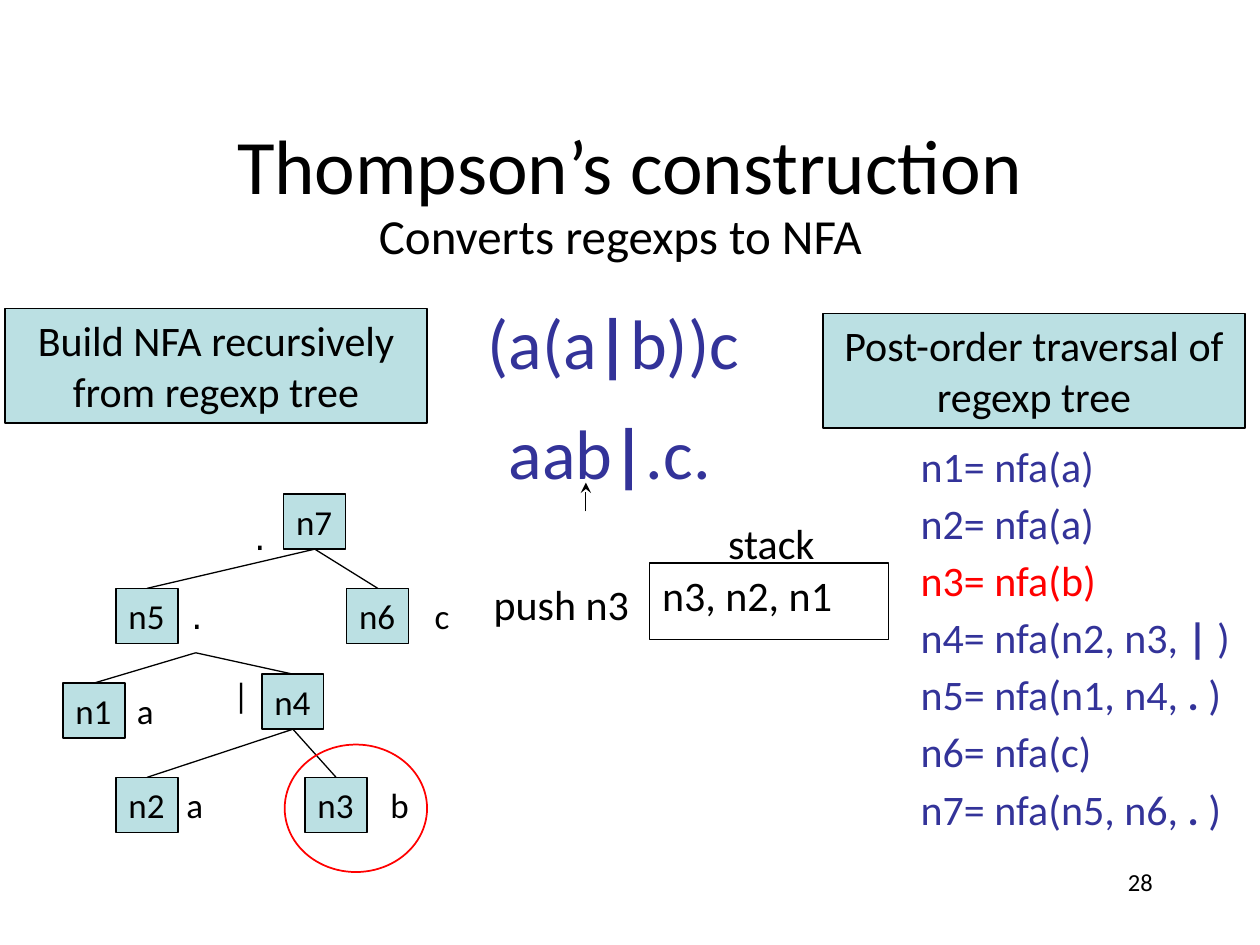
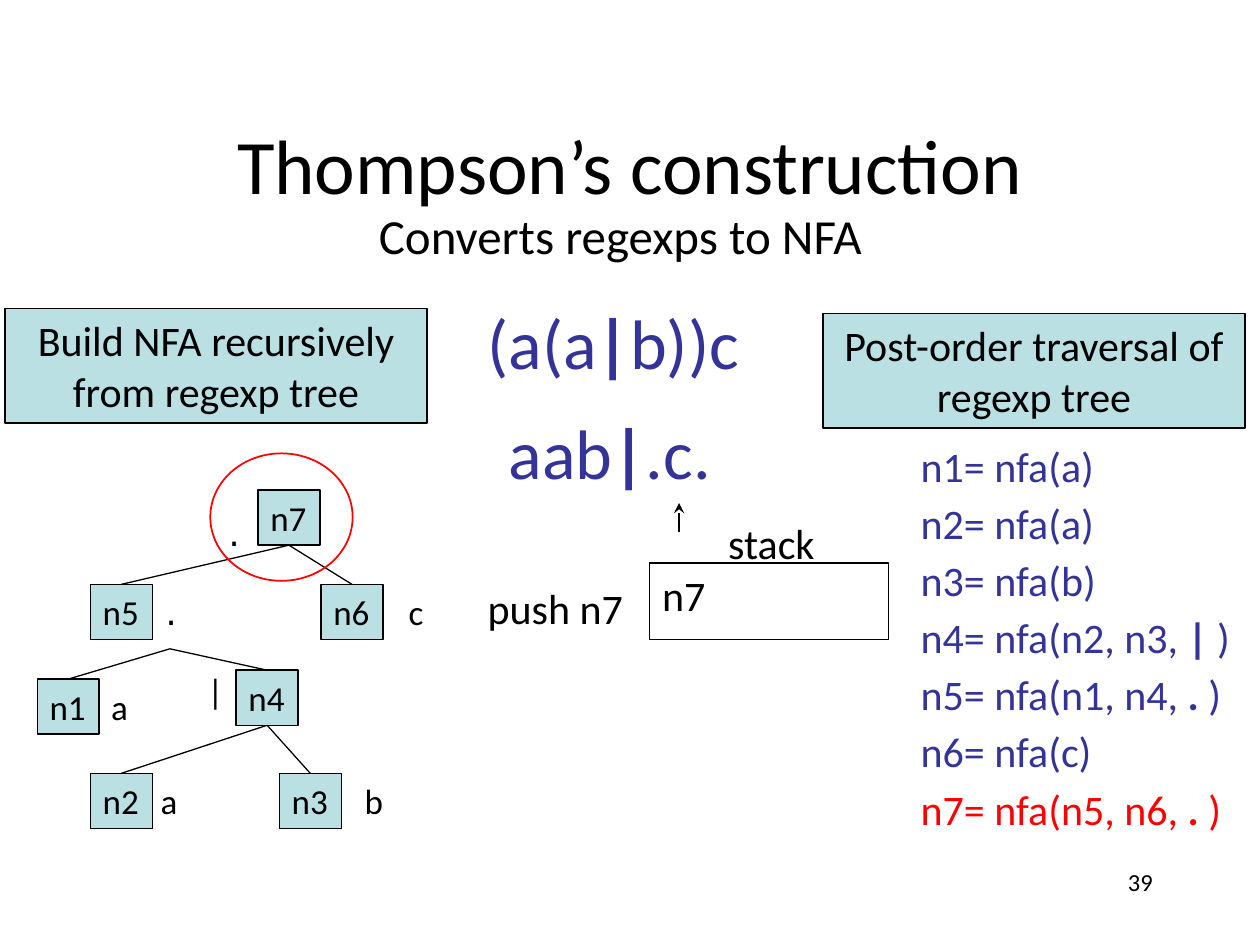
"""Build two slides that step through Thompson's construction on a regexp tree."""
from dataclasses import dataclass
from typing import Any, Optional

from lxml import etree
from pptx import Presentation, util as u
from pptx.dml.color import RGBColor
from pptx.enum import shapes, text
from pptx.oxml.ns import qn


@dataclass(frozen=True)
class Theme:
    """Colours, font and type sizes of the deck."""
    font: str = "Calibri"
    ink: RGBColor = RGBColor(0x00, 0x00, 0x00)
    code: RGBColor = RGBColor(0x33, 0x33, 0x99)
    active: RGBColor = RGBColor(0xFF, 0x00, 0x00)
    panel: RGBColor = RGBColor(0xBB, 0xE0, 0xE3)
    title: int = 44
    expression: int = 40
    subtitle: int = 28
    body: int = 24
    node: int = 20
    number: int = 14
    line: float = 0.75
    ring_line: float = 1


@dataclass(frozen=True)
class Box:
    """A rectangle in centimetres."""
    left: float
    top: float
    width: float
    height: float

    def lengths(self) -> tuple[u.Cm, ...]:
        """Return the four sides as slide lengths."""
        return tuple(u.Cm(side) for side in (self.left, self.top, self.width, self.height))


@dataclass(frozen=True)
class Node:
    """A tree node; its label and fork are offsets from its corner and bottom centre."""
    left: float
    top: float
    label: str
    label_x: float
    label_y: float = 0
    children: tuple[str, ...] = ()
    fork_x: float = 0
    fork_y: float = 0


@dataclass(frozen=True)
class Step:
    """What changes from one traversal step to the next."""
    number: str
    active: str
    stack: str
    pointer: tuple[float, float]
    push: tuple[float, float]
    ring: tuple[float, float]
    tree_shift: tuple[float, float] = (0, 0)


THEME = Theme()
ALIGN = text.PP_ALIGN
NODE_WIDTH, NODE_HEIGHT = 1.25, 1.11
POINTER_LENGTH = 0.58
CALLS_LEFT, CALLS_TOP, CALLS_STEP = 18.31, 8.76, 1.15

TREE = {
    "n2": Node(2.34, 15.67, "a", 1.17),
    "n3": Node(6.15, 15.67, "b", 1.47),
    "n1": Node(1.27, 13.77, "a", 1.24),
    "n4": Node(5.28, 13.59, "|", -0.83, -0.13, ("n2", "n3")),
    "n5": Node(2.34, 11.86, "⋅", 1.27, 0.21, ("n1", "n4"), 0.98, 0.19),
    "n6": Node(6.99, 11.86, "c", 1.52),
    "n7": Node(5.72, 9.96, "⋅", -0.84, 0.5, ("n5", "n6")),
}

CALLS = {
    "n1": ("n1= nfa(a)",),
    "n2": ("n2= nfa(a)",),
    "n3": ("n3= nfa(b)",),
    "n4": ("n4= nfa(n2, n3, ", "| ", ")"),
    "n5": ("n5= nfa(n1, n4, ", ". ", ")"),
    "n6": ("n6= nfa(c)",),
    "n7": ("n7= nfa(n5, n6, ", ". ", ")"),
}

STEPS = (
    Step("28", "n3", "n3, n2, n1", (11.81, 10.31), (9.7, 11.53), (5.74, 15.01)),
    Step("39", "n7", "n7", (13.69, 10.72), (9.58, 11.61), (4.24, 9.14), (-0.52, -0.08)),
)


def write(shape: Any, pieces: tuple[str, ...], size: int, ink: RGBColor = THEME.ink,
          align: Any = ALIGN.LEFT, anchor: Any = text.MSO_ANCHOR.TOP, wrap: bool = True) -> None:
    """Fill a shape with one paragraph whose every second piece is bold."""
    frame = shape.text_frame
    frame.word_wrap = wrap
    frame.vertical_anchor = anchor
    paragraph = frame.paragraphs[0]
    paragraph.alignment = align
    for index, piece in enumerate(pieces):
        run = paragraph.add_run()
        run.text = piece
        run.font.name = THEME.font
        run.font.size = u.Pt(size)
        run.font.bold = index % 2 == 1
        run.font.color.rgb = ink


def add_text(target: Any, box: Box, pieces: tuple[str, ...], size: int,
             ink: RGBColor = THEME.ink, align: Any = ALIGN.LEFT) -> None:
    """Add a text box."""
    write(target.add_textbox(*box.lengths()), pieces, size, ink, align)


def add_outline(target: Any, kind: Any, box: Box, fill: Optional[RGBColor] = None,
                ink: RGBColor = THEME.ink, weight: float = THEME.line) -> Any:
    """Add a preset shape with a thin outline and an optional fill."""
    shape = target.add_shape(kind, *box.lengths())
    shape.shadow.inherit = False
    if fill is None:
        shape.fill.background()
    else:
        shape.fill.solid()
        shape.fill.fore_color.rgb = fill
    shape.line.color.rgb = ink
    shape.line.width = u.Pt(weight)
    return shape


def add_rectangle(target: Any, box: Box, words: str, size: int, fill: Optional[RGBColor] = None,
                  align: Any = ALIGN.LEFT, wrap: bool = True) -> None:
    """Add an outlined rectangle with text."""
    shape = add_outline(target, shapes.MSO_SHAPE.RECTANGLE, box, fill)
    write(shape, (words,), size, align=align, wrap=wrap)


def add_line(target: Any, start: tuple[float, float], end: tuple[float, float],
             arrow: bool = False) -> None:
    """Add a straight line, with an arrowhead at its end if asked."""
    ends = (u.Cm(value) for value in (*start, *end))
    connector = target.add_connector(shapes.MSO_CONNECTOR.STRAIGHT, *ends)
    connector.line.color.rgb = THEME.ink
    connector.line.width = u.Pt(THEME.line)
    properties = connector.element.spPr
    if arrow:
        etree.SubElement(properties.find(qn("a:ln")), qn("a:tailEnd"), type="stealth")
    etree.SubElement(properties, qn("a:effectLst"))


def add_tree(slide: Any, shift: tuple[float, float]) -> None:
    """Draw the regexp tree as one group."""
    target = slide.shapes.add_group_shape().shapes
    corners = {name: (node.left + shift[0], node.top + shift[1]) for name, node in TREE.items()}
    for name, node in TREE.items():
        left, top = corners[name]
        label = Box(left + node.label_x, top + node.label_y, 0.85, NODE_HEIGHT)
        add_text(target, label, (node.label,), THEME.node)
        fork = (left + NODE_WIDTH / 2 + node.fork_x, top + NODE_HEIGHT + node.fork_y)
        for child in node.children:
            child_left, child_top = corners[child]
            add_line(target, fork, (child_left + NODE_WIDTH / 2, child_top))
    for name, corner in corners.items():
        add_rectangle(target, Box(*corner, NODE_WIDTH, NODE_HEIGHT), name, THEME.node,
                      THEME.panel, wrap=False)


def add_heading(slide: Any, number: str) -> None:
    """Add the title, subtitle and slide number."""
    title = slide.shapes.title
    title.left, title.top, title.width, title.height = Box(1.9, 1.7, 21.6, 3.18).lengths()
    write(title, ("Thompson’s construction",), THEME.title, align=ALIGN.CENTER,
          anchor=text.MSO_ANCHOR.MIDDLE)
    add_text(slide.shapes, Box(7.39, 4.01, 10.64, 1.45), ("Converts regexps to NFA",),
             THEME.subtitle)
    add_text(slide.shapes, Box(18.21, 17.35, 5.28, 1.27), (number,), THEME.number,
             align=ALIGN.RIGHT)


def add_expressions(slide: Any) -> None:
    """Add the infix and postfix expressions and the two captions."""
    target = slide.shapes
    add_text(target, Box(9.58, 5.92, 5.72, 1.96), ("(a(a", "|", "b))c"),
             THEME.expression, THEME.code)
    add_text(target, Box(10.01, 8.13, 4.65, 1.96), ("aab", "|", ".c."),
             THEME.expression, THEME.code)
    for left, top, caption in ((0.1, 6.22, "Build NFA recursively from regexp tree"),
                               (16.59, 6.32, "Post-order traversal of regexp tree")):
        add_rectangle(target, Box(left, top, 8.51, 2.31), caption, THEME.body,
                      THEME.panel, ALIGN.CENTER)


def add_calls(slide: Any, active: str) -> None:
    """List the calls in traversal order with the active one highlighted."""
    for row, (name, pieces) in enumerate(CALLS.items()):
        width = 6.86 if len(pieces) > 1 else 4.14
        box = Box(CALLS_LEFT, CALLS_TOP + row * CALLS_STEP, width, 1.27)
        add_text(slide.shapes, box, pieces, THEME.body,
                 THEME.active if name == active else THEME.code)


def add_stack(slide: Any, contents: str) -> None:
    """Draw the stack and its name as one group."""
    target = slide.shapes.add_group_shape().shapes
    add_rectangle(target, Box(13.1, 11.35, 4.81, 1.55), contents, THEME.body)
    add_text(target, Box(14.43, 10.31, 2.3, 1.27), ("stack",), THEME.body)


def add_step(presentation: Any, step: Step) -> None:
    """Add the slide of one traversal step."""
    slide = presentation.slides.add_slide(presentation.slide_layouts[5])
    add_heading(slide, step.number)
    add_expressions(slide)
    add_calls(slide, step.active)
    pointer_x, pointer_y = step.pointer
    add_line(slide.shapes, step.pointer, (pointer_x, pointer_y - POINTER_LENGTH), arrow=True)
    add_stack(slide, step.stack)
    add_text(slide.shapes, Box(*step.push, 3.3, 1.27), (f"push {step.active}",), THEME.body)
    add_tree(slide, step.tree_shift)
    add_outline(slide.shapes, shapes.MSO_SHAPE.OVAL, Box(*step.ring, 2.87, 2.57),
                ink=THEME.active, weight=THEME.ring_line)


def main() -> None:
    """Build and save the deck."""
    presentation = Presentation()
    presentation.slide_width, presentation.slide_height = u.Cm(25.4), u.Cm(19.05)
    for step in STEPS:
        add_step(presentation, step)
    presentation.save("out.pptx")


if __name__ == "__main__":
    main()
